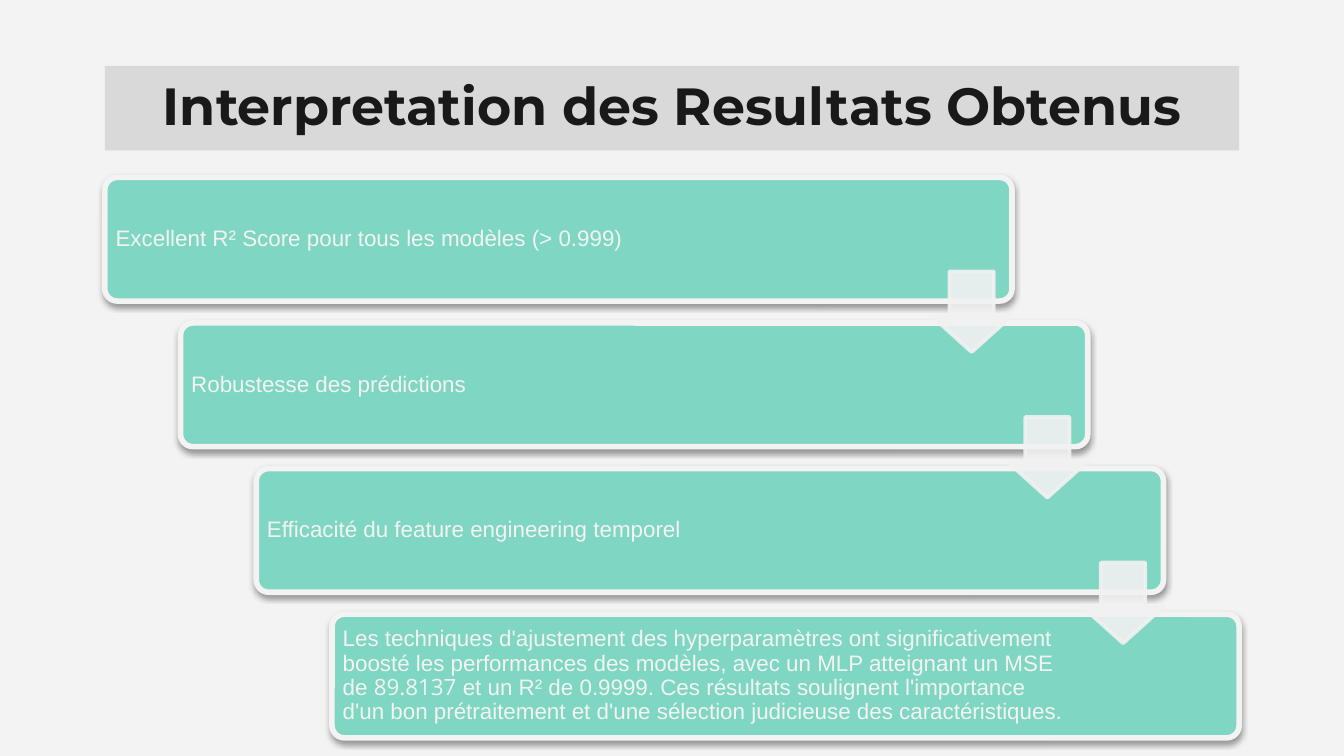
from lxml import etree
from pptx import Presentation
from pptx.dml.color import RGBColor
from pptx.enum.shapes import MSO_SHAPE
from pptx.enum.text import MSO_ANCHOR, MSO_AUTO_SIZE, PP_ALIGN
from pptx.oxml import parse_xml
from pptx.oxml.ns import nsdecls, qn
from pptx.util import Inches, Pt

ROUNDED = MSO_SHAPE.ROUNDED_RECTANGLE
DOWN_ARROW = MSO_SHAPE.DOWN_ARROW
MIDDLE = MSO_ANCHOR.MIDDLE
CENTER = PP_ALIGN.CENTER
NO_AUTOFIT = MSO_AUTO_SIZE.NONE

COLORS = {
    "page": "F3F3F3",
    "title_band": "D9D9D9",
    "title": "191919",
    "step": "7FD6C3",
    "arrow": "F1F1F1",
}

# Each step is a list of (text, font) runs.
STEPS = [
    [("Excellent R² Score pour tous les modèles (> 0.999)", "Arial")],
    [("Robustesse des prédictions", "Arial")],
    [("Efficacité du feature engineering temporel", "Arial")],
    [
        ("Les techniques d'ajustement des hyperparamètres ont significativement "
         "boosté les performances des modèles, avec un MLP atteignant un MSE de ", "Arial"),
        ("89.8137", "Open Sans"),
        (" et un R² de 0.9999. Ces résultats soulignent l'importance d'un bon "
         "prétraitement et d'une sélection judicieuse des caractéristiques.", "Arial"),
    ],
]
LEFT, TOP, WIDTH, HEIGHT = 0.78, 1.32, 6.75, 0.92
LAST_LEFT, LAST_TOP = 2.47, 4.57
SHIFT_X = (LAST_LEFT - LEFT) / (len(STEPS) - 1)
SHIFT_Y = (LAST_TOP - TOP) / (len(STEPS) - 1)
ARROW_SIZE, ARROW_X, ARROW_Y = 0.6, 6.15, 0.7

SHADOW = (
    f'<a:effectLst {nsdecls("a")}><a:outerShdw blurRad="39370" dist="20320" '
    'dir="5400000" rotWithShape="0"><a:srgbClr val="000000"><a:alpha val="38000"/>'
    '</a:srgbClr></a:outerShdw></a:effectLst>'
)


def color(name):
    return RGBColor.from_string(COLORS[name])


def add_filled_shape(kind, left, top, width, height, fill, line, line_width):
    shape = page.shapes.add_shape(
        kind, Inches(left), Inches(top), Inches(width), Inches(height))
    shape.shadow.inherit = False
    shape.fill.solid()
    shape.fill.fore_color.rgb = color(fill)
    shape.line.color.rgb = color(line)
    shape.line.width = Pt(line_width)
    return shape


deck = Presentation()
deck.slide_width = Inches(10)
deck.slide_height = deck.slide_width * 9 // 16
page = deck.slides.add_slide(deck.slide_layouts[5])
page.background.fill.solid()
page.background.fill.fore_color.rgb = color("page")

# Title band
title = page.shapes.title
title.left, title.top = Inches(0.78), Inches(0.49)
title.width, title.height = Inches(8.44), Inches(0.63)
title.fill.solid()
title.fill.fore_color.rgb = color("title_band")
frame = title.text_frame
frame.text = "Interpretation des Resultats Obtenus"
frame.auto_size = NO_AUTOFIT
frame.vertical_anchor = MIDDLE
frame.margin_left = frame.margin_right = Inches(0.1)
frame.margin_top = frame.margin_bottom = Inches(0.1)
para = frame.paragraphs[0]
para.alignment = CENTER
para.line_spacing = 0.9
para.font.name = "Montserrat"
para.font.size = Pt(28)
para.font.bold = True
para.font.color.rgb = color("title")

# Staircase of steps
for index, runs in enumerate(STEPS):
    left, top = LEFT + index * SHIFT_X, TOP + index * SHIFT_Y
    step = add_filled_shape(ROUNDED, left, top, WIDTH, HEIGHT, "step", "page", 3)
    step.adjustments[0] = 0.1
    properties = step._element.spPr
    properties.replace(properties.find(qn("a:effectLst")), parse_xml(SHADOW))

    box = page.shapes.add_textbox(
        Inches(left + 0.03), Inches(top + 0.03),
        Inches(5.69 if index == 0 else 5.54), Inches(HEIGHT - 0.06))
    frame = box.text_frame
    frame.word_wrap = True
    frame.vertical_anchor = MIDDLE
    frame.margin_left = frame.margin_right = Inches(0.05)
    frame.margin_top = frame.margin_bottom = Inches(0.05)
    para = frame.paragraphs[0]
    para.line_spacing = 0.9
    para.font.size = Pt(12)
    para.font.color.rgb = color("page")
    for text, font in runs:
        span = para.add_run()
        span.text = text
        span.font.name = font

# Translucent arrows leading from each step to the next
for index in range(len(STEPS) - 1):
    arrow = add_filled_shape(
        DOWN_ARROW, LEFT + ARROW_X + index * SHIFT_X, TOP + ARROW_Y + index * SHIFT_Y,
        ARROW_SIZE, ARROW_SIZE, "arrow", "arrow", 2)
    arrow.adjustments[0] = 0.55
    arrow.adjustments[1] = 0.45
    for tint in arrow._element.spPr.iter(qn("a:srgbClr")):
        etree.SubElement(tint, qn("a:alpha"), val="90000")

deck.save("out.pptx")
